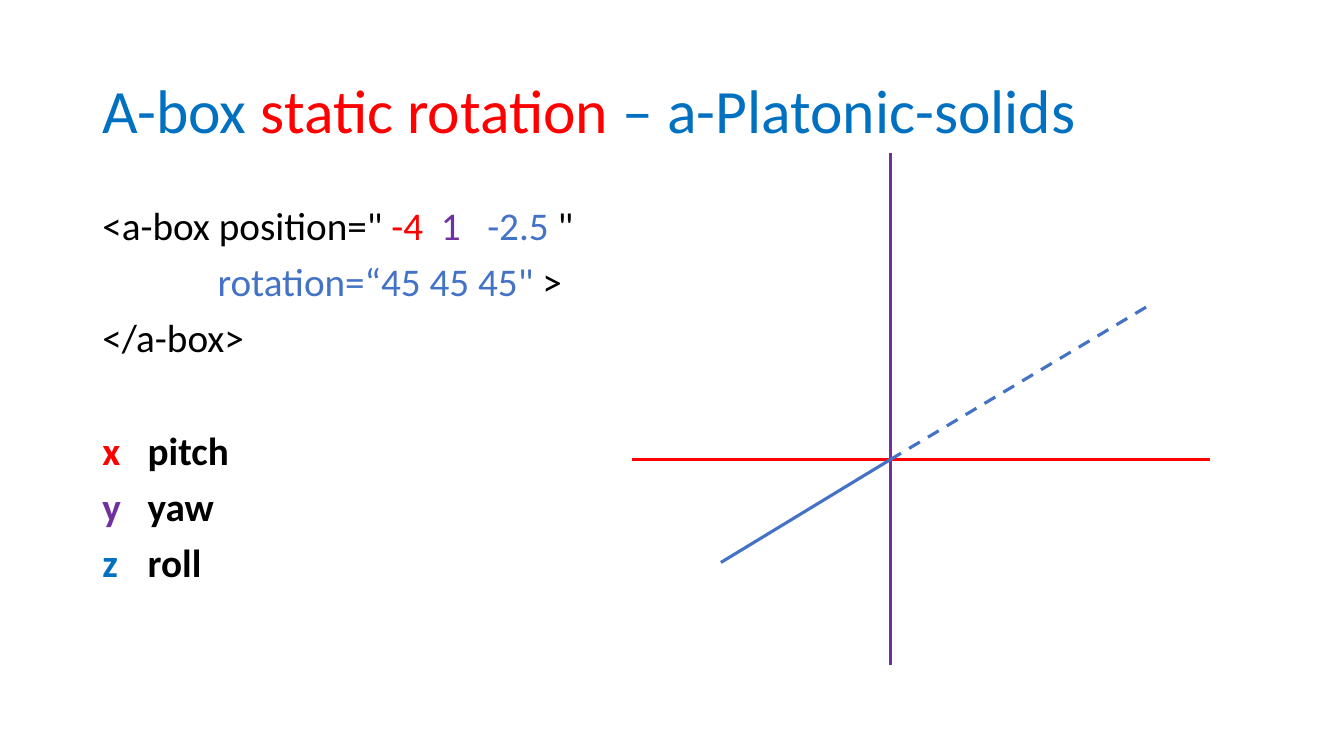
from dataclasses import dataclass

from lxml.etree import SubElement
from pptx import Presentation
from pptx.dml.color import RGBColor as RGB
from pptx.enum.dml import MSO_LINE_DASH_STYLE as Dash
from pptx.enum.shapes import MSO_CONNECTOR as Connector
from pptx.enum.text import MSO_ANCHOR as Anchor
from pptx.oxml.ns import qn
from pptx.util import Inches, Pt


@dataclass(frozen=True)
class Theme:
    font: str = "Calibri"
    title_size: int = 44
    body_size: int = 28
    axis_width: float = 2.25
    line_spacing: float = 0.9
    black: str = "000000"
    red: str = "FF0000"
    purple: str = "7030A0"
    blue: str = "0070C0"
    steel: str = "4472C4"


class SlideBuilder:
    """Places elements by percentages of the slide's width and height."""

    def __init__(self, prs, theme):
        self.prs = prs
        self.theme = theme
        self.slide = prs.slides.add_slide(prs.slide_layouts[6])

    def place(self, x, y):
        return (round(self.prs.slide_width * x / 100),
                round(self.prs.slide_height * y / 100))

    def text_box(self, x, y, w, h, anchor=Anchor.TOP):
        sp = self.slide.shapes.add_textbox(*self.place(x, y), *self.place(w, h))
        tf = sp.text_frame
        tf.word_wrap = True
        tf.vertical_anchor = anchor
        return tf

    def paragraph(self, tf, runs, size, before=0, bold=False, tab=None):
        p = tf.paragraphs[0]
        if p.runs:
            p = tf.add_paragraph()
        if tab:
            tabs = SubElement(p._p.get_or_add_pPr(), qn("a:tabLst"))
            SubElement(tabs, qn("a:tab"), pos=str(Inches(tab)), algn="l")
        p.line_spacing = self.theme.line_spacing
        p.space_before = Pt(before)
        p.font.name = self.theme.font
        p.font.size = Pt(size)
        p.font.bold = bold
        for text, color in runs:
            r = p.add_run()
            r.text = text
            r.font.color.rgb = RGB.from_string(color)

    def line(self, start, end, color, dash=None):
        cxn = self.slide.shapes.add_connector(
            Connector.STRAIGHT, *self.place(*start), *self.place(*end))
        cxn.line.color.rgb = RGB.from_string(color)
        cxn.line.width = Pt(self.theme.axis_width)
        if dash:
            cxn.line.dash_style = dash
        SubElement(cxn._element.spPr, qn("a:effectLst"))


def main():
    prs = Presentation()
    prs.slide_width, prs.slide_height = Inches(40 / 3), Inches(7.5)
    t = Theme()
    s = SlideBuilder(prs, t)
    left, width = 6.88, 86.25

    # Title
    title = s.text_box(left, 5.33, width, 19.33, Anchor.MIDDLE)
    s.paragraph(title, [("A-box ", t.blue), ("static rotation ", t.red),
                        ("– a-Platonic-solids", t.blue)], t.title_size)

    # Code sample
    body = s.text_box(left, 26.62, width, 63.45)
    code = [
        [('<a-box position="', t.black), (" -4  ", t.red), ("1   ", t.purple),
         ("-2.5 ", t.steel), ('"', t.black)],
        [('             rotation=“45 45 45" ', t.steel), (">", t.black)],
        [("</a-box>", t.black)],
    ]
    for i, runs in enumerate(code):
        s.paragraph(body, runs, t.body_size, before=10 if i else 0)

    # Names of the rotations
    rotations = [("x", "pitch", t.red), ("y", "yaw", t.purple), ("z", "roll", t.blue)]
    for i, (axis, name, color) in enumerate(rotations):
        s.paragraph(body, [(axis, color), ("\t" + name, t.black)], t.body_size,
                    before=10 if i else 50, bold=True, tab=0.45)

    # Axes, with z dashed behind the origin
    origin_x, origin_y = origin = (66.24, 60.8)
    s.line((47.04, origin_y), (90, origin_y), t.red)
    s.line((origin_x, 88), (origin_x, 20.27), t.purple)
    s.line((53.64, 74.4), origin, t.steel)
    s.line(origin, (85.37, 40.53), t.steel, Dash.DASH)

    prs.save("out.pptx")


if __name__ == "__main__":
    main()
